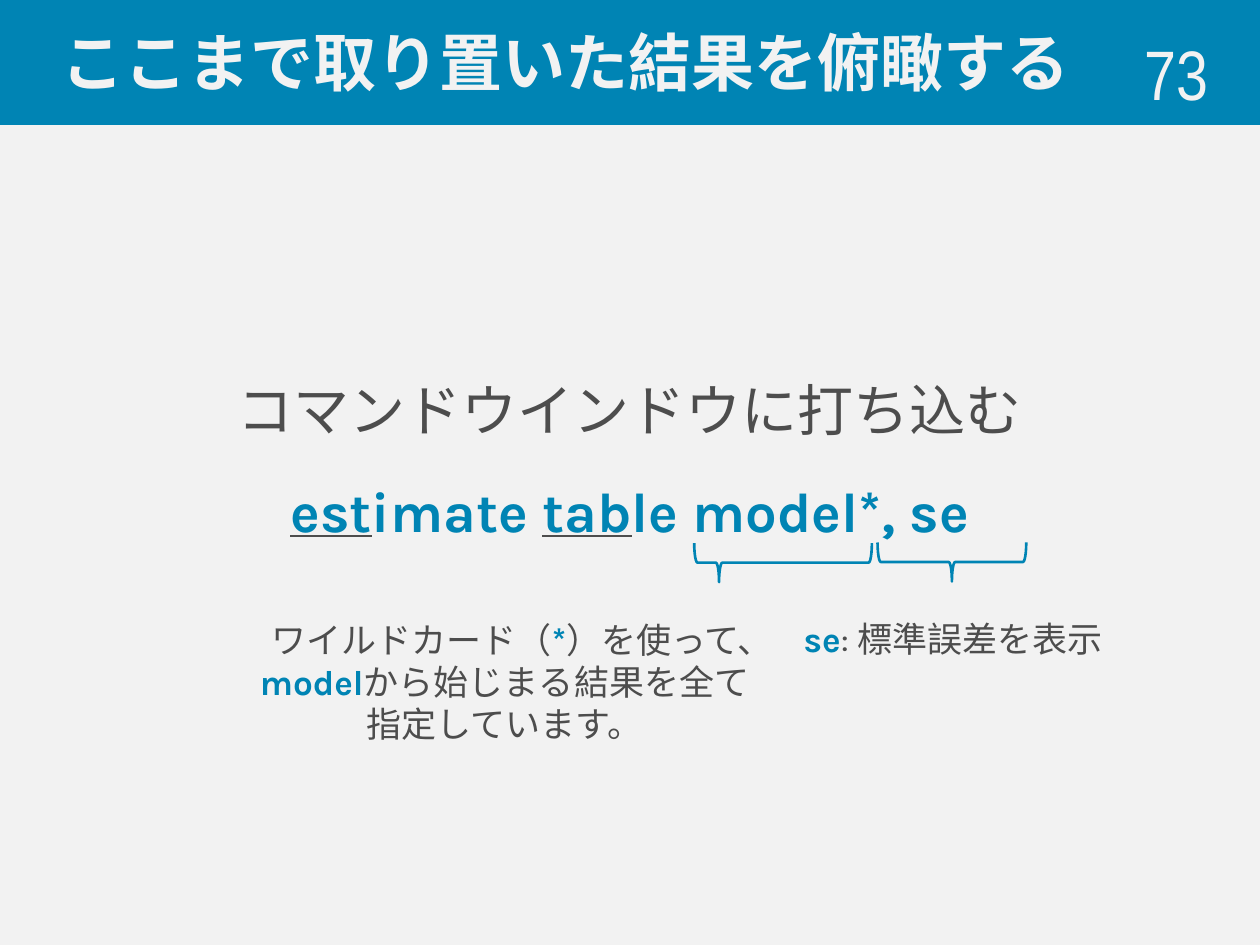
import pptx
import pptx.util
import pptx.dml.color
import pptx.enum.shapes
import pptx.enum.text
import lxml.etree

Inches = pptx.util.Inches
Pt = pptx.util.Pt
RGBColor = pptx.dml.color.RGBColor
Align = pptx.enum.text.PP_ALIGN
Anchor = pptx.enum.text.MSO_ANCHOR
Shape = pptx.enum.shapes.MSO_SHAPE

BLUE = RGBColor(0x00, 0x84, 0xB4)
GREY = RGBColor(0x4D, 0x4D, 0x4D)
PALE = RGBColor(0xF2, 0xF2, 0xF2)


def write(para, text, size, color, font="Karla", bold=False, under=False):
    run = para.add_run()
    run.text = text
    run.font.size = Pt(size)
    run.font.name = font
    run.font.bold = bold
    run.font.color.rgb = color
    if under:
        run.font.underline = True
        props = run.font._element
        line = lxml.etree.Element(pptx.oxml.ns.qn("a:uFill"))
        fill = lxml.etree.SubElement(line, pptx.oxml.ns.qn("a:solidFill"))
        tint = lxml.etree.SubElement(fill, pptx.oxml.ns.qn("a:srgbClr"))
        tint.set("val", str(GREY))
        props.find(pptx.oxml.ns.qn("a:solidFill")).addnext(line)


def add_text(shapes, box, align, anchor=Anchor.TOP):
    frame = shapes.add_textbox(*map(Inches, box)).text_frame
    frame.word_wrap = True
    frame.vertical_anchor = anchor
    frame.paragraphs[0].alignment = align
    return frame


deck = pptx.Presentation()
deck.slide_width = Inches(10)
deck.slide_height = Inches(7.5)
slide = deck.slides.add_slide(deck.slide_layouts[6])
slide.background.fill.solid()
slide.background.fill.fore_color.rgb = PALE

title = slide.shapes.add_shape(Shape.RECTANGLE, 0, 0, Inches(10), Inches(0.98))
title.shadow.inherit = False
title.fill.solid()
title.fill.fore_color.rgb = BLUE
title.line.color.rgb = BLUE
title.line.width = Pt(1.5)
frame = title.text_frame
frame.margin_left = Inches(0.49)
frame.vertical_anchor = Anchor.MIDDLE
frame.paragraphs[0].alignment = Align.LEFT
write(frame.paragraphs[0], "ここまで取り置いた結果を俯瞰する", 36, PALE, "Arial", True)

body = add_text(slide.shapes, (0.5, 1.23, 9, 4.57), Align.CENTER, Anchor.MIDDLE)
lead = body.paragraphs[0]
lead.line_spacing = 1.5
write(lead, "コマンドウインドウに打ち込む", 32, GREY)
code = body.add_paragraph()
code.alignment = Align.CENTER
code.line_spacing = 1.5
for text, under in [("est", True), ("imate ", False), ("tab", True), ("le model*, se", False)]:
    write(code, text, 32, BLUE, bold=True, under=under)

page = add_text(slide.shapes, (7.76, 0.19, 1.93, 0.61), Align.RIGHT)
write(page.paragraphs[0], "73", 40, PALE, "Arial Narrow")

notes = [
    ((7.4, 3.87, 0.31, 1.18), 0.5, (6.16, 4.85, 2.81, 0.44),
     [("se", True), (": 標準誤差を表示", False)]),
    ((6.06, 3.76, 0.31, 1.41), 0.14, (1.93, 4.86, 4.15, 1.11),
     [("ワイルドカード（", False), ("*", True), ("）を使って、", False),
      ("model", True), ("から始じまる結果を全て指定しています。", False)]),
]
for place, tip, box, parts in notes:
    group = slide.shapes.add_group_shape()
    brace = group.shapes.add_shape(Shape.LEFT_BRACE, *map(Inches, place))
    brace.rotation = 270
    brace.adjustments[1] = tip
    brace.shadow.inherit = False
    brace.fill.background()
    brace.line.color.rgb = BLUE
    brace.line.width = Pt(1.5)
    note = add_text(group.shapes, box, Align.CENTER)
    for text, key in parts:
        write(note.paragraphs[0], text, 20, BLUE if key else GREY, bold=key)

deck.save("out.pptx")
